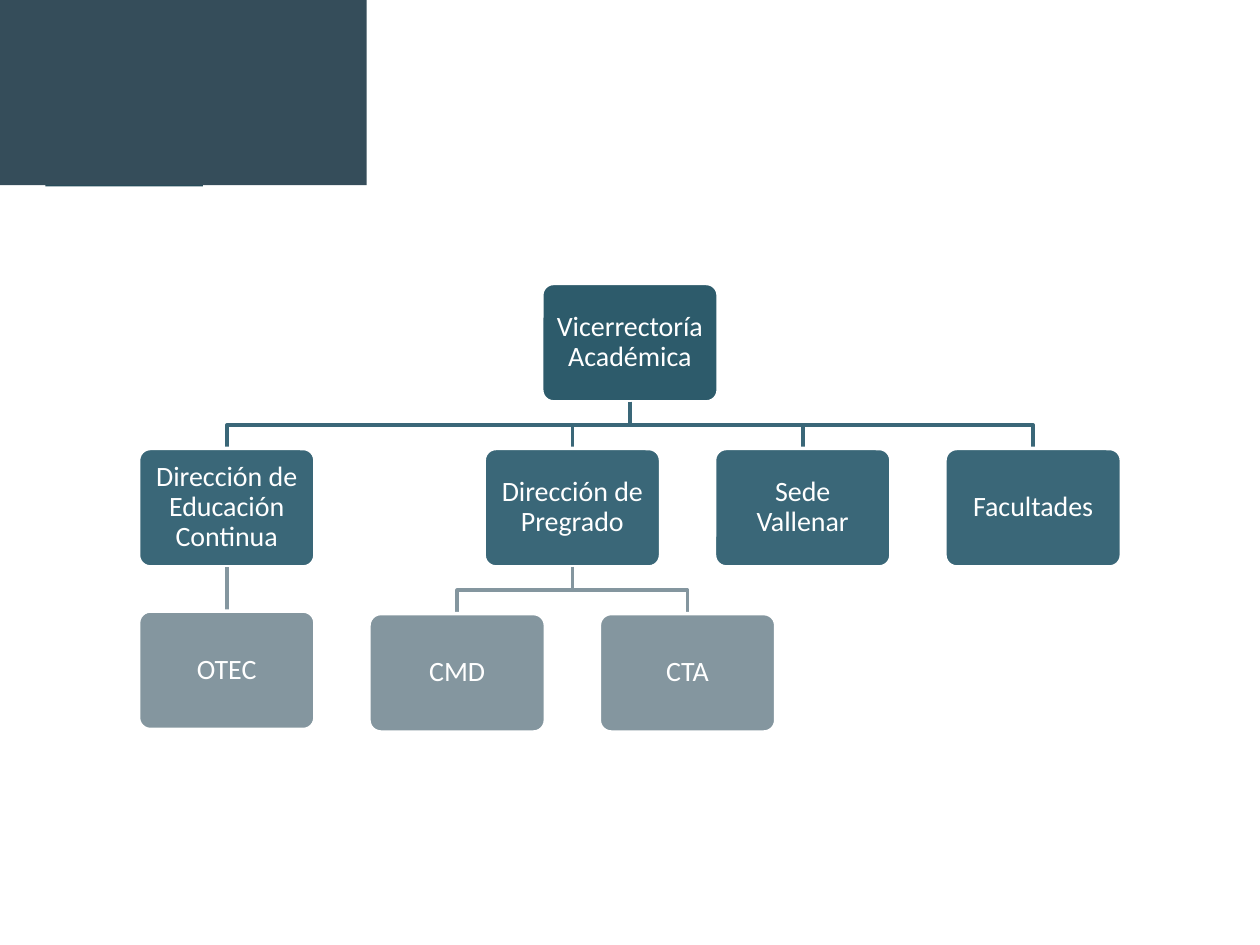
"""Organisation chart of the Vicerrectoría Académica."""
from lxml import etree
from pptx import Presentation
from pptx.dml.color import RGBColor as Rgb
from pptx.enum.shapes import MSO_CONNECTOR as Connector, MSO_SHAPE as Shape
from pptx.enum.text import MSO_ANCHOR as Anchor, PP_ALIGN as Align
from pptx.oxml.ns import qn
from pptx.util import Inches, Pt

THEME = {
    "accent": Rgb.from_string("264C59"),
    "banner": Rgb.from_string("354D5A"),
    "levels": [Rgb.from_string(c) for c in ("2D5B6B", "3A6778", "84969F")],
    "light": Rgb.from_string("FFFFFF"),
    "font": "Calibri",
    "size": Pt(16),
    "line": Pt(2),
}
FRAME_FORMAT = {
    "word_wrap": True, "vertical_anchor": Anchor.MIDDLE,
    **{f"margin_{side}": Inches(0.07) for side in ("left", "right", "top", "bottom")},
}
PARAGRAPH_FORMAT = {"alignment": Align.CENTER, "line_spacing": 0.9}
FONT_FORMAT = {"name": THEME["font"], "size": THEME["size"]}

BOX_WIDTH, BOX_HEIGHT = 1.4, 0.94
CENTER, HALF_STEP = 5, 6.4 / 7
UNITS = [
    ("Vicerrectoría Académica", None, 0, 0, 2.25),
    ("Dirección de Educación Continua", "Vicerrectoría Académica", 1, -3.5, 3.56),
    ("OTEC", "Dirección de Educación Continua", 2, -3.5, 4.85),
    ("Dirección de Pregrado", "Vicerrectoría Académica", 1, -0.5, 3.56),
    ("CMD", "Dirección de Pregrado", 2, -1.5, 4.87),
    ("CTA", "Dirección de Pregrado", 2, 0.5, 4.87),
    ("Sede Vallenar", "Vicerrectoría Académica", 1, 1.5, 3.56),
    ("Facultades", "Vicerrectoría Académica", 1, 3.5, 3.56),
]


def apply_format(target, values):
    for attribute, value in values.items():
        setattr(target, attribute, value)


def add_block(kind, box, color):
    block = slide.shapes.add_shape(kind, *map(Inches, box))
    block.shadow.inherit = False
    block.fill.solid()
    block.fill.fore_color.rgb = color
    block.line.fill.background()
    return block


prs = Presentation()
prs.slide_width, prs.slide_height = Inches(10), Inches(7.5)
slide = prs.slides.add_slide(prs.slide_layouts[6])

add_block(Shape.RECTANGLE, (0.36, 0.81, 1.25, 0.67), THEME["accent"])
add_block(Shape.RECTANGLE, (-0.08, 0, 2.99, 1.47), THEME["banner"])

exits = {}
for unit, parent, level, column, top in UNITS:
    x = CENTER + column * HALF_STEP
    color = THEME["levels"][level]

    if parent:
        start_x, start_y = exits[parent]
        if start_x == x:
            ends = map(Inches, (x, start_y, x, top))
            link = slide.shapes.add_connector(Connector.STRAIGHT, *ends)
            etree.SubElement(link._element.spPr, qn("a:effectLst"))
        else:
            middle = (start_y + top) / 2
            bends = [(start_x, middle), (x, middle), (x, top)]
            route = slide.shapes.build_freeform(Inches(start_x), Inches(start_y))
            route.add_line_segments([(Inches(a), Inches(b)) for a, b in bends], close=False)
            link = route.convert_to_shape()
            link.shadow.inherit = False
            link.fill.background()
        link.line.color.rgb = color
        link.line.width = THEME["line"]

    box = (x - BOX_WIDTH / 2, top, BOX_WIDTH, BOX_HEIGHT)
    card = add_block(Shape.ROUNDED_RECTANGLE, box, color)
    card.adjustments[0] = 0.1
    card.line.color.rgb = THEME["light"]
    card.line.width = THEME["line"]
    apply_format(card.text_frame, FRAME_FORMAT)
    label = card.text_frame.paragraphs[0]
    label.text = unit
    apply_format(label, PARAGRAPH_FORMAT)
    apply_format(label.font, FONT_FORMAT)
    label.font.color.rgb = THEME["light"]
    exits[unit] = (x, top + BOX_HEIGHT)

prs.save("out.pptx")
